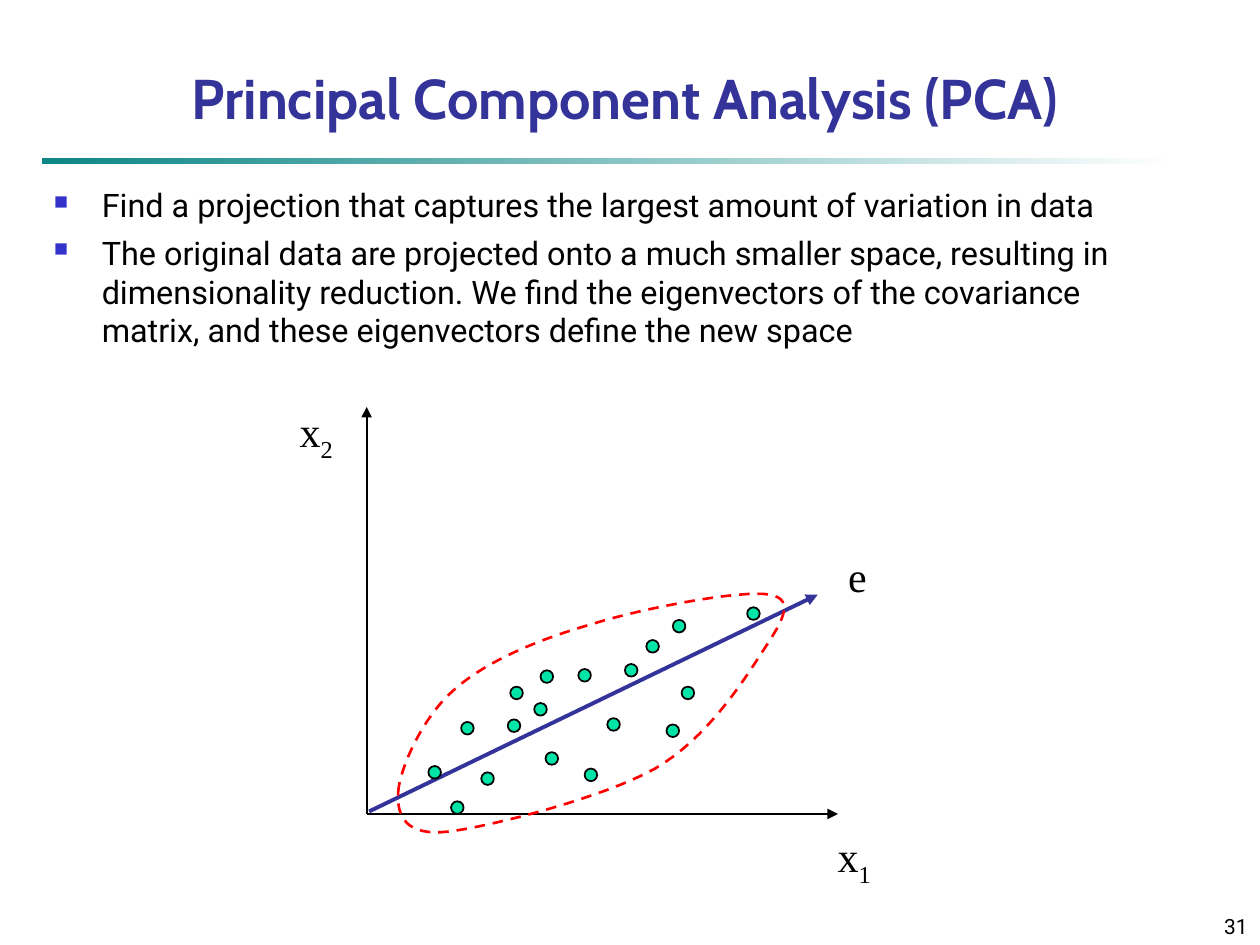
from lxml.etree import SubElement
from pptx import Presentation
from pptx.dml.color import RGBColor
from pptx.enum.dml import MSO_LINE
from pptx.enum.shapes import MSO_CONNECTOR, MSO_SHAPE
from pptx.enum.text import MSO_ANCHOR, PP_ALIGN
from pptx.oxml.ns import qn
from pptx.util import Inches, Pt

BLACK, NAVY, TEAL, WHITE = "000000", "333399", "0D8686", "FFFFFF"
ORIGIN = (2.91, 6.46)
DOT_SIZE = 0.1
TITLE_FONT = {"size": Pt(32), "name": "Cabin", "bold": True}
BODY_FONT = {"size": Pt(18.5), "name": "Roboto"}
NUMBER_FONT = {"size": Pt(12), "name": "Roboto"}
AXIS_FONT = {"size": Pt(24), "name": "Times New Roman"}
BULLETS = [
    "Find a projection that captures the largest amount of variation in data",
    "The original data are projected onto a much smaller space, resulting in "
    "dimensionality reduction. We find the eigenvectors of the covariance "
    "matrix, and these eigenvectors define the new space",
]
DOTS = [
    (3.66, 5.73), (4.05, 5.45), (3.4, 6.08), (4.24, 5.58), (4.03, 5.71),
    (4.82, 5.7), (4.64, 6.1), (4.33, 5.97), (4.59, 5.31), (5.41, 5.45),
    (5.93, 4.82), (3.82, 6.13), (4.96, 5.27), (5.34, 4.92), (4.29, 5.32),
    (5.13, 5.08), (5.29, 5.75), (3.58, 6.36),
]
CLOUD_START = (3.16, 6.29)
CLOUD_CURVES = [
    ((3.17, 6.11), (3.35, 5.69), (3.61, 5.47)),
    ((3.87, 5.24), (4.29, 5.07), (4.71, 4.95)),
    ((5.13, 4.82), (5.89, 4.68), (6.11, 4.72)),
    ((6.33, 4.76), (6.19, 4.96), (6.04, 5.19)),
    ((5.89, 5.42), (5.61, 5.86), (5.2, 6.1)),
    ((4.79, 6.33), (3.9, 6.56), (3.56, 6.6)),
    ((3.22, 6.64), (3.15, 6.48), CLOUD_START),
]


def color(value):
    """Turn a hex string into a colour."""
    return RGBColor.from_string(value)


def set_line(line, value, width):
    """Give a line its colour and its width in points."""
    line.color.rgb = color(value)
    line.width = Pt(width)


def add_span(para, text, font, value=BLACK):
    """Append a formatted run to a paragraph."""
    span = para.add_run()
    span.text = text
    for name, setting in font.items():
        setattr(span.font, name, setting)
    span.font.color.rgb = color(value)
    return span


def add_box(page, place, anchor, align, wrap=True):
    """Add a text box and return its first paragraph and its frame."""
    frame = page.shapes.add_textbox(*map(Inches, place)).text_frame
    frame.word_wrap = wrap
    frame.vertical_anchor = anchor
    para = frame.paragraphs[0]
    para.alignment = align
    return para, frame


def add_bullet(para, text):
    """Fill a paragraph as a square-bulleted item."""
    para.line_spacing = 1.0
    para.space_before = Pt(5)
    properties = para._p.get_or_add_pPr()
    properties.set("marL", str(Inches(0.38)))
    properties.set("indent", str(Inches(-0.38)))
    bullet_color = SubElement(properties, qn("a:buClr"))
    SubElement(bullet_color, qn("a:srgbClr"), val="3333CC")
    SubElement(properties, qn("a:buSzPct"), val="60000")
    SubElement(properties, qn("a:buChar"), char="■")
    add_span(para, text, BODY_FONT)


def add_label(page, place, letter, subscript=""):
    """Add a centred letter with an optional subscript."""
    para, _ = add_box(page, place, MSO_ANCHOR.MIDDLE, PP_ALIGN.CENTER, False)
    add_span(para, letter, AXIS_FONT)
    if subscript:
        span = add_span(para, subscript, AXIS_FONT)
        span._r.get_or_add_rPr().set("baseline", "-25000")


def add_arrow(page, start, end, value=BLACK, width=1):
    """Draw a straight arrow from start to end."""
    arrow = page.shapes.add_connector(
        MSO_CONNECTOR.STRAIGHT, *map(Inches, (*start, *end)))
    set_line(arrow.line, value, width)
    SubElement(arrow.line._get_or_add_ln(), qn("a:tailEnd"), type="triangle")
    SubElement(arrow._element.spPr, qn("a:effectLst"))


def add_dot(page, left, top):
    """Draw one data point."""
    dot = page.shapes.add_shape(
        MSO_SHAPE.OVAL, *map(Inches, (left, top, DOT_SIZE, DOT_SIZE)))
    dot.shadow.inherit = False
    dot.fill.solid()
    dot.fill.fore_color.rgb = color("00E4A8")
    set_line(dot.line, BLACK, 1)


def add_rule(page):
    """Draw the fading bar below the title."""
    rule = page.shapes.add_shape(
        MSO_SHAPE.RECTANGLE, *map(Inches, (0.33, 1.25, 9, 0.05)))
    rule.shadow.inherit = False
    rule.line.fill.background()
    rule.fill.gradient()
    rule.fill.gradient_angle = 0
    for stop, value in zip(rule.fill.gradient_stops, (TEAL, WHITE)):
        stop.color.rgb = color(value)


def curve_points(start, curves, steps=16):
    """List the points along a chain of cubic curves."""
    points = []
    for first, second, end in curves:
        for step in range(1, steps + 1):
            t = step / steps
            weights = ((1 - t) ** 3, 3 * t * (1 - t) ** 2,
                       3 * t ** 2 * (1 - t), t ** 3)
            corners = (start, first, second, end)
            points.append(tuple(
                Inches(sum(w * corner[axis] for w, corner in zip(weights, corners)))
                for axis in (0, 1)))
        start = end
    return points


def add_cloud(page):
    """Draw the dashed outline around the data points."""
    builder = page.shapes.build_freeform(*map(Inches, CLOUD_START))
    builder.add_line_segments(curve_points(CLOUD_START, CLOUD_CURVES), close=True)
    cloud = builder.convert_to_shape()
    cloud.shadow.inherit = False
    cloud.fill.background()
    set_line(cloud.line, "FF0000", 1.5)
    cloud.line.dash_style = MSO_LINE.DASH


def main():
    """Build the slide and save it."""
    deck = Presentation()
    deck.slide_width, deck.slide_height = Inches(10), Inches(7.5)
    page = deck.slides.add_slide(deck.slide_layouts[6])

    add_rule(page)
    number, _ = add_box(page, (7.92, 7.08, 2.08, 0.42),
                        MSO_ANCHOR.BOTTOM, PP_ALIGN.RIGHT)
    add_span(number, "31", NUMBER_FONT)

    add_label(page, (2.28, 3.17, 0.46, 0.56), "x", "2")
    add_arrow(page, ORIGIN, (2.91, 3.23))
    add_arrow(page, ORIGIN, (6.65, 6.46))
    add_arrow(page, (2.93, 6.44), (6.49, 4.72), NAVY, 2.25)
    add_cloud(page)
    for left, top in DOTS:
        add_dot(page, left, top)
    add_label(page, (6.55, 6.54, 0.46, 0.56), "x", "1")
    add_label(page, (6.63, 4.32, 0.35, 0.5), "e")

    title, _ = add_box(page, (0.17, 0.17, 9.58, 0.92),
                       MSO_ANCHOR.BOTTOM, PP_ALIGN.CENTER)
    add_span(title, "Principal Component Analysis (PCA)", TITLE_FONT, NAVY)
    para, body = add_box(page, (0.33, 1.42, 9.17, 1.75),
                         MSO_ANCHOR.TOP, PP_ALIGN.LEFT)
    for index, text in enumerate(BULLETS):
        add_bullet(body.add_paragraph() if index else para, text)

    deck.save("out.pptx")


if __name__ == "__main__":
    main()
